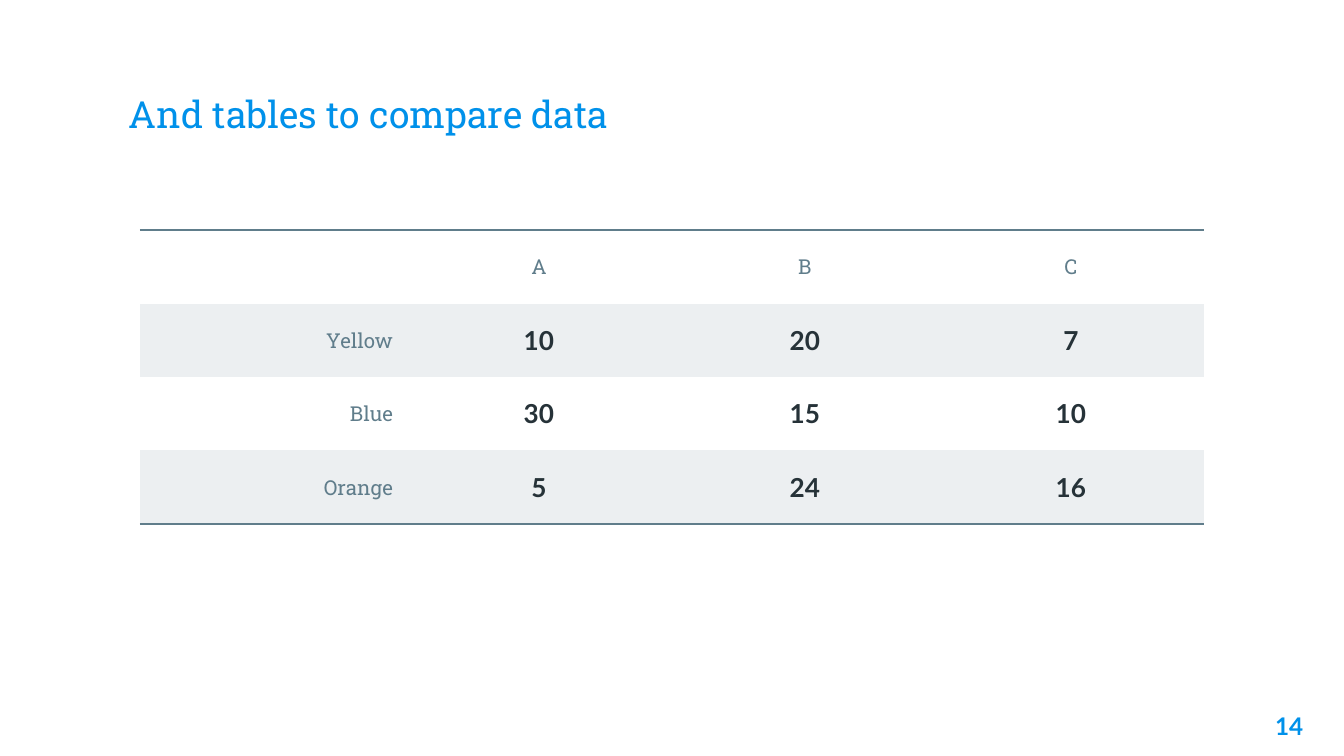
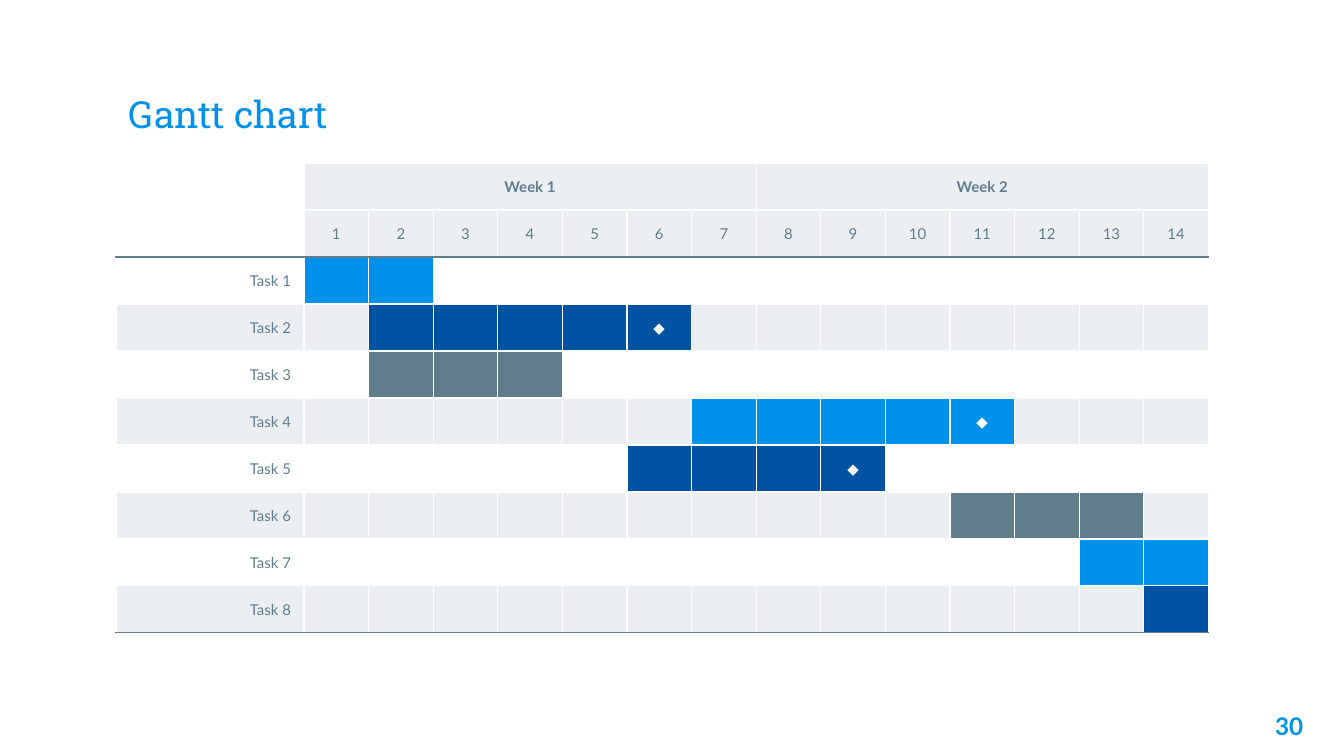
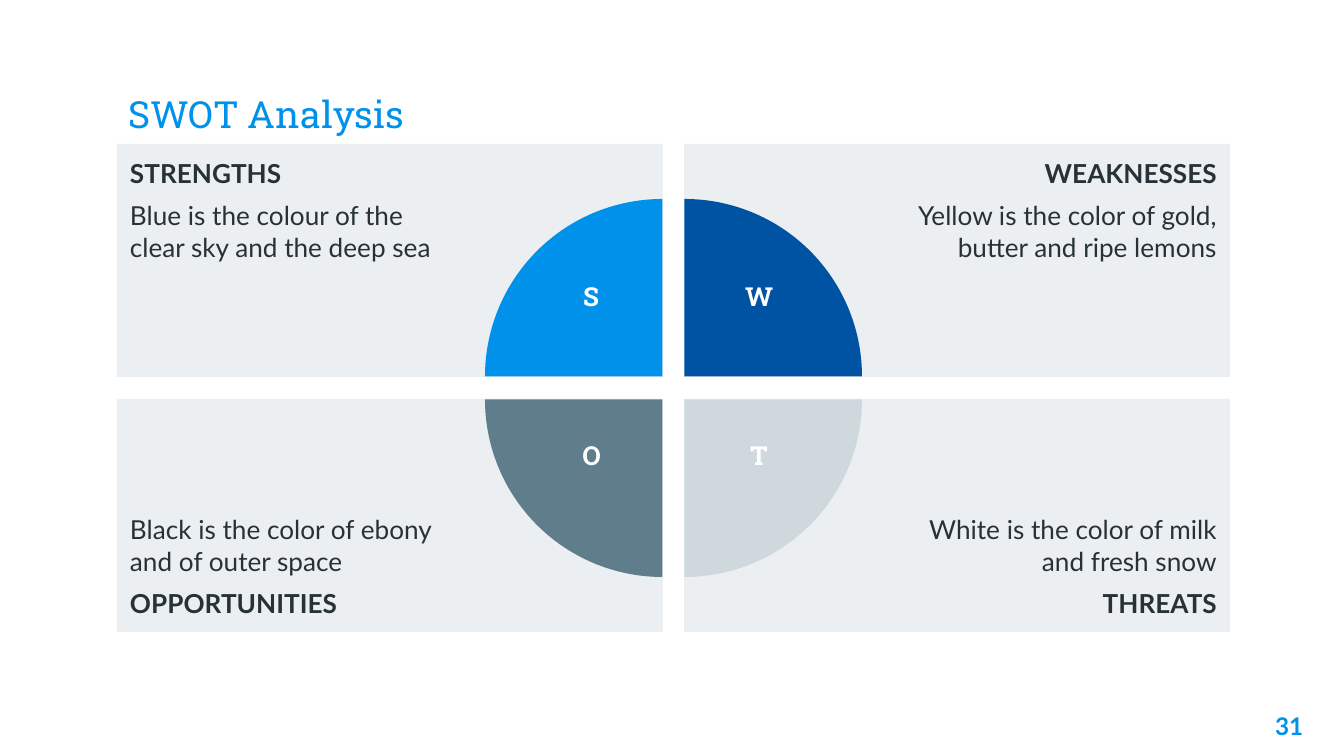
"""Build three slides: a comparison table, a Gantt chart and a SWOT analysis."""
from dataclasses import dataclass

from lxml.etree import SubElement
from pptx import Presentation
from pptx.dml.color import RGBColor
from pptx.enum.shapes import MSO_SHAPE
from pptx.enum.text import MSO_ANCHOR, PP_ALIGN
from pptx.oxml.ns import qn
from pptx.util import Pt

PX = 6804
NO_STYLE_NO_GRID = "{2D5ABB26-0587-4C30-8999-92F81FD0307C}"
LEFT, CENTER, RIGHT = PP_ALIGN.LEFT, PP_ALIGN.CENTER, PP_ALIGN.RIGHT


@dataclass(frozen=True)
class Theme:
    blue = RGBColor.from_string("0091EA")
    navy = RGBColor.from_string("0053A3")
    slate = RGBColor.from_string("607D8B")
    silver = RGBColor.from_string("CFD8DC")
    mist = RGBColor.from_string("ECEFF1")
    ink = RGBColor.from_string("263238")
    white = RGBColor.from_string("FFFFFF")
    title = ("Roboto Slab", 20, False)
    letter = ("Roboto Slab", 14, True)
    label = ("Roboto Slab", 11, False)
    number = ("Lato", 13, True)
    strong = ("Lato", 14, True)
    body = ("Lato", 14, False)
    week = ("Lato", 8, True)
    small = ("Lato", 8, False)


theme = Theme()


def write(frame, text, style, color, align=LEFT):
    para = frame.add_paragraph() if frame.text else frame.paragraphs[0]
    para.text = text
    para.alignment = align
    para.font.name, size, para.font.bold = style
    para.font.size = Pt(size)
    para.font.color.rgb = color
    return para


def style_cell(cell, fill, borders, line_width, margin):
    properties = cell._tc.get_or_add_tcPr()
    for side in "LRTB":
        if side in borders:
            line = SubElement(properties, qn(f"a:ln{side}"), w=str(Pt(line_width)))
            solid = SubElement(line, qn("a:solidFill"))
            SubElement(solid, qn("a:srgbClr"), val=str(borders[side]))
    if fill is None:
        cell.fill.background()
    else:
        cell.fill.solid()
        cell.fill.fore_color.rgb = fill
    cell.vertical_anchor = MSO_ANCHOR.MIDDLE
    cell.margin_left = cell.margin_right = 13 * PX
    cell.margin_top = cell.margin_bottom = margin * PX


deck = Presentation()
deck.slide_width, deck.slide_height = 1344 * PX, 756 * PX

pages = []
for title, number in [
    ("And tables to compare data", "14"),
    ("Gantt chart", "30"),
    ("SWOT Analysis", "31"),
]:
    page = deck.slides.add_slide(deck.slide_layouts[6])
    pages.append(page)
    title_box = page.shapes.add_textbox(116 * PX, 46 * PX, 1113 * PX, 103 * PX)
    number_box = page.shapes.add_textbox(1235 * PX, 698 * PX, 81 * PX, 58 * PX)
    for box in (title_box, number_box):
        frame = box.text_frame
        frame.word_wrap = True
        frame.margin_left = frame.margin_right = 13 * PX
        frame.margin_top = frame.margin_bottom = 13 * PX
    title_box.text_frame.vertical_anchor = MSO_ANCHOR.BOTTOM
    write(title_box.text_frame, title, theme.title, theme.blue)
    write(number_box.text_frame, number, theme.number, theme.blue, RIGHT)
table_page, gantt_page, swot_page = pages

comparison = [
    ["", "A", "B", "C"],
    ["Yellow", "10", "20", "7"],
    ["Blue", "30", "15", "10"],
    ["Orange", "5", "24", "16"],
]
table = table_page.shapes.add_table(
    4, 4, 140 * PX, 230 * PX, 1064 * PX, 294 * PX
).table

tasks = [
    (theme.blue, 1, 2, False),
    (theme.navy, 2, 6, True),
    (theme.slate, 2, 4, False),
    (theme.blue, 7, 11, True),
    (theme.navy, 6, 9, True),
    (theme.slate, 11, 13, False),
    (theme.blue, 13, 14, False),
    (theme.navy, 14, 14, False),
]
days = 14
last_row = len(tasks) + 1
gantt = gantt_page.shapes.add_table(
    last_row + 1, days + 1, 116 * PX, 163 * PX, 1093 * PX, 470 * PX
).table
gantt.columns[0].width = 188 * PX
for day in range(1, days + 1):
    gantt.columns[day].width = 905 * PX // days

for grid in (table, gantt):
    grid.first_row = grid.horz_banding = False
    grid._tbl.tblPr.find(qn("a:tableStyleId")).text = NO_STYLE_NO_GRID

for row, values in enumerate(comparison):
    borders = {0: {"T": theme.slate}, 3: {"B": theme.slate}}.get(row, {})
    for column, value in enumerate(values):
        cell = table.cell(row, column)
        style_cell(cell, theme.mist if row % 2 else None, borders, 1.5, 9)
        if value and (row == 0 or column == 0):
            align = CENTER if row == 0 else RIGHT
            write(cell.text_frame, value, theme.label, theme.slate, align)
        elif value:
            write(cell.text_frame, value, theme.strong, theme.ink, CENTER)

for row in range(last_row + 1):
    borders = dict.fromkeys("LRTB", theme.white)
    if row == 2:
        borders["T"] = theme.slate
    if row in (1, last_row):
        borders["B"] = theme.slate
    for column in range(days + 1):
        text, style, color, align = "", theme.small, theme.slate, CENTER
        if row < 2:
            fill = theme.mist if column else None
            if row == 1 and column:
                text = str(column)
            elif column in (1, 8):
                text, style = f"Week {column // 7 + 1}", theme.week
        else:
            bar, first, last, milestone = tasks[row - 2]
            fill = theme.mist if row % 2 else None
            if column == 0:
                text, align = f"Task {row - 1}", RIGHT
            elif first <= column <= last:
                fill = bar
                if milestone and column == last:
                    text, color = "◆", theme.white
        cell = gantt.cell(row, column)
        style_cell(cell, fill, borders, 0.75, 7 if text else 0)
        if text:
            write(cell.text_frame, text, style, color, align)
for first in (1, 8):
    gantt.cell(0, first).merge(gantt.cell(0, first + 6))

quadrants = [
    ("STRENGTHS", "Blue is the colour of the clear sky and the deep sea",
     0, 0, 0, theme.blue, 48),
    ("WEAKNESSES", "Yellow is the color of gold, butter and ripe lemons",
     1, 0, 90, theme.navy, 94),
    ("THREATS", "White is the color of milk and fresh snow",
     1, 1, 180, theme.silver, 58),
    ("OPPORTUNITIES", "Black is the color of ebony and of outer space",
     0, 1, 270, theme.slate, 59),
]
for heading, description, column, row, angle, color, letter_width in quadrants:
    panel = swot_page.shapes.add_shape(
        MSO_SHAPE.RECTANGLE,
        (117 + 567 * column) * PX, (144 + 255 * row) * PX, 546 * PX, 233 * PX,
    )
    pie = swot_page.shapes.add_shape(
        MSO_SHAPE.PIE,
        (485 + 22 * column) * PX, (199 + 23 * row) * PX, 355 * PX, 355 * PX,
    )
    pie.adjustments[0], pie.adjustments[1] = 108, 162
    pie.rotation = angle
    for shape, fill in ((panel, theme.mist), (pie, color)):
        shape.shadow.inherit = False
        shape.fill.solid()
        shape.fill.fore_color.rgb = fill
        shape.line.fill.background()

    frame = panel.text_frame
    frame.word_wrap = True
    frame.vertical_anchor = MSO_ANCHOR.BOTTOM if row else MSO_ANCHOR.TOP
    frame.margin_top = frame.margin_bottom = 13 * PX
    frame.margin_left = (202 if column else 13) * PX
    frame.margin_right = (13 if column else 202) * PX
    lines = [(heading, theme.strong), (description, theme.body)]
    for text, style in reversed(lines) if row else lines:
        para = write(frame, text, style, theme.ink, RIGHT if column else LEFT)
    para.space_before = para.space_after = Pt(6)

    center = 591 + 168 * column
    letter_box = swot_page.shapes.add_textbox(
        (center - letter_width // 2) * PX, (274 + 159 * row) * PX,
        letter_width * PX, 65 * PX,
    )
    letter_box.text_frame.word_wrap = True
    write(letter_box.text_frame, heading[0], theme.letter, theme.white, CENTER)

deck.save("out.pptx")
